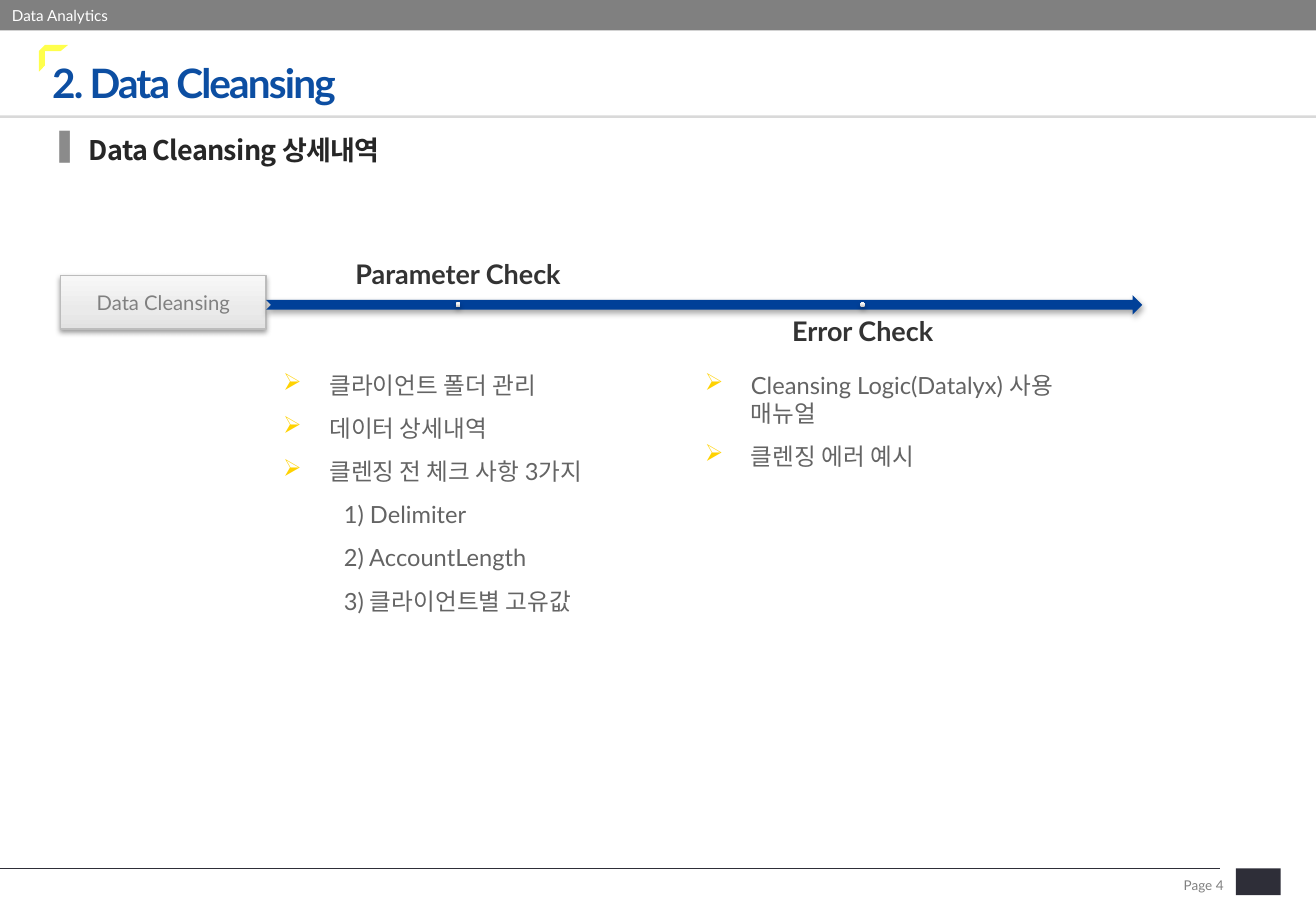
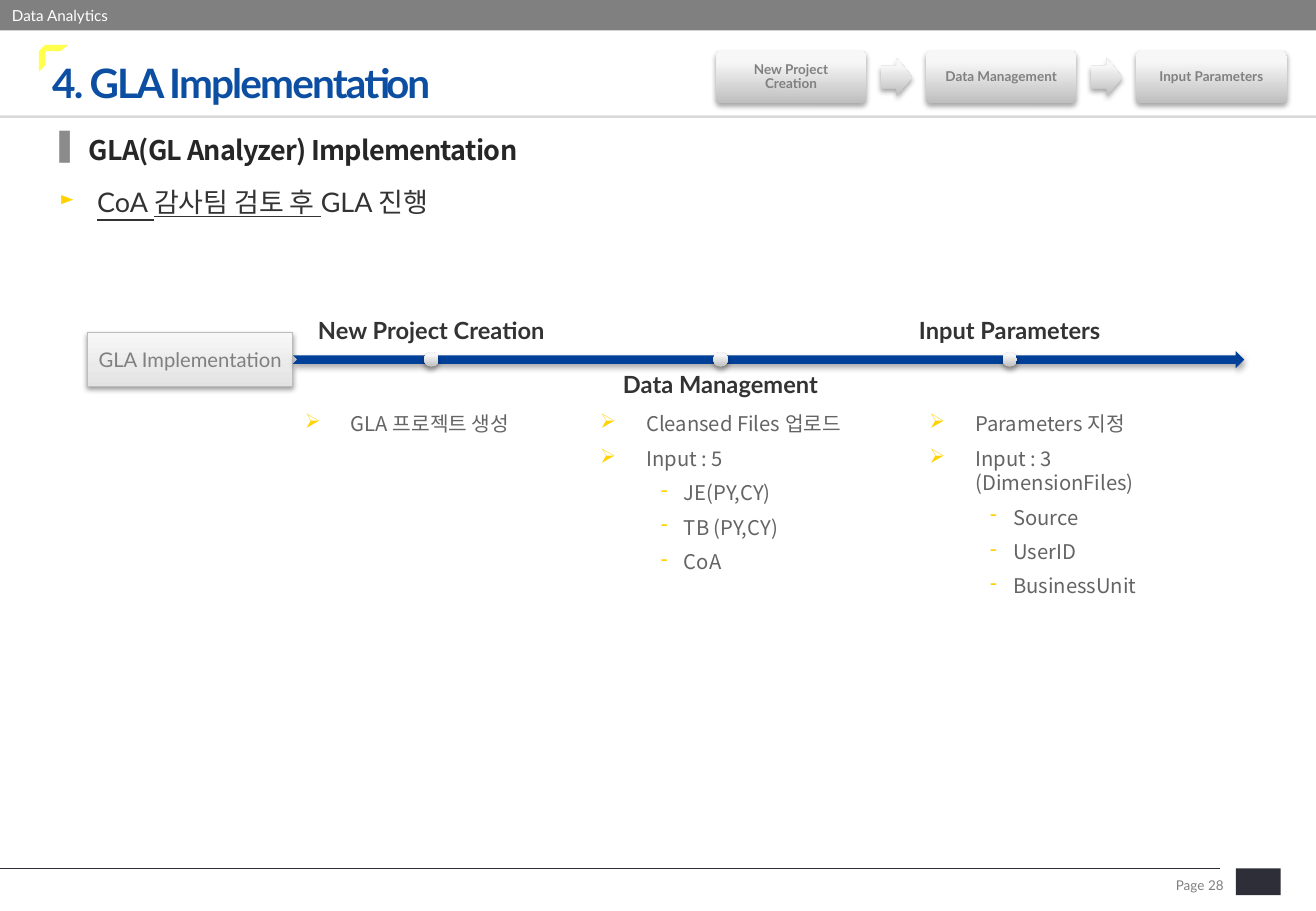
from lxml import etree
from pptx import Presentation
from pptx.dml.color import RGBColor
from pptx.enum.shapes import MSO_CONNECTOR, MSO_SHAPE
from pptx.enum.text import MSO_ANCHOR, MSO_AUTO_SIZE, PP_ALIGN
from pptx.oxml.ns import qn
from pptx.util import Inches, Pt

RECTANGLE = MSO_SHAPE.RECTANGLE
ROUNDED = MSO_SHAPE.ROUNDED_RECTANGLE
ELLIPSE = MSO_SHAPE.OVAL
RIGHT_ARROW = MSO_SHAPE.RIGHT_ARROW
NOTCHED_ARROW = MSO_SHAPE.NOTCHED_RIGHT_ARROW
STRAIGHT = MSO_CONNECTOR.STRAIGHT
TOP, MIDDLE, BOTTOM = MSO_ANCHOR.TOP, MSO_ANCHOR.MIDDLE, MSO_ANCHOR.BOTTOM
LEFT, CENTER, RIGHT = PP_ALIGN.LEFT, PP_ALIGN.CENTER, PP_ALIGN.RIGHT
NO_AUTOFIT = MSO_AUTO_SIZE.NONE

LATO = "Lato"
NOTO = "Noto Sans CJK KR"
WIDTH, HEIGHT = 10.83, 7.5
COLORS = {
    "title": "0C4EA2",
    "axis": "004098",
    "band": "808080",
    "white": "FFFFFF",
    "rule": "D9D9D9",
    "dark": "2E2E38",
    "corner": "FFFF00",
    "heading": "262626",
    "heading_bar": "8B8B8B",
    "label": "333333",
    "body": "646464",
    "bullet": "FFD200",
    "box_line": "BCBCBC",
}
BOX_GRADIENT = [(0, "E2E2E2"), (35, "EAEAEA"), (100, "F7F7F7")]
CHIP_GRADIENT = [(0, "BEBEBE"), (80, "F7F7F7"), (100, "F8F8F8")]
BULLETS = {
    "arrow": ("➢", "bullet", 100, 0.38, 0.38),
    "dash": ("-", "bullet", 100, 0.69, 0.19),
    "triangle": ("►", "bullet", 70, 0.31, 0.31),
    "bar": ("▌", "heading_bar", 100, 0.24, 0.24),
    "plain": (None, None, None, 0.5, 0),
}


def color(name):
    return RGBColor.from_string(COLORS[name])


def add_child(parent, tag, **attributes):
    child = etree.SubElement(parent, qn(tag))
    for name, value in attributes.items():
        child.set(name, str(value))
    return child


def add_text(paragraph, text, size, tone, font=LATO, bold=False, underline=False, spacing=0):
    run = paragraph.add_run()
    run.text = text
    run.font.size = Pt(size)
    run.font.bold = bold
    run.font.underline = underline
    run.font.color.rgb = color(tone)
    run.font.name = font
    properties = run._r.get_or_add_rPr()
    add_child(properties, "a:ea", typeface=NOTO)
    if spacing:
        properties.set("spc", str(round(spacing * 100)))


def set_bullet(paragraph, kind):
    character, tone, percent, margin, hanging = BULLETS[kind]
    properties = paragraph._p.get_or_add_pPr()
    properties.set("marL", str(Inches(margin)))
    properties.set("indent", str(-Inches(hanging)))
    if character:
        add_child(add_child(properties, "a:buClr"), "a:srgbClr", val=COLORS[tone])
        add_child(properties, "a:buSzPct", val=percent * 1000)
        add_child(properties, "a:buChar", char=character)


def prepare_frame(shape, anchor=TOP, insets=(0, 0)):
    frame = shape.text_frame
    frame.word_wrap = True
    frame.auto_size = NO_AUTOFIT
    frame.vertical_anchor = anchor
    frame.margin_left = frame.margin_right = Inches(insets[0])
    frame.margin_top = frame.margin_bottom = Inches(insets[1])
    return frame


def add_text_box(slide, box, anchor=TOP, insets=(0, 0)):
    return prepare_frame(slide.shapes.add_textbox(*map(Inches, box)), anchor, insets)


def add_shadow(shape, opacity=35, distance=1.8):
    effects = shape._element.spPr.find(qn("a:effectLst"))
    shadow = add_child(effects, "a:outerShdw", blurRad=Pt(3.1), dist=Pt(distance),
                       dir=5400000, rotWithShape=0)
    tone = add_child(shadow, "a:srgbClr", val="000000")
    add_child(tone, "a:alpha", val=opacity * 1000)


def fill_gradient(shape, stops):
    shape.fill.gradient()
    shape.fill.gradient_angle = 90
    stop_list = shape._element.spPr.find(qn("a:gradFill")).find(qn("a:gsLst"))
    for stop in list(stop_list):
        stop_list.remove(stop)
    for position, tone in stops:
        stop = add_child(stop_list, "a:gs", pos=position * 1000)
        add_child(stop, "a:srgbClr", val=tone)


def add_shape(slide, kind, box, fill, adjustments=()):
    shape = slide.shapes.add_shape(kind, *map(Inches, box))
    shape.shadow.inherit = False
    shape.line.fill.background()
    for index, value in enumerate(adjustments):
        shape.adjustments[index] = value
    if isinstance(fill, str):
        shape.fill.solid()
        shape.fill.fore_color.rgb = color(fill)
    else:
        fill_gradient(shape, fill)
    return shape


def add_corner_mark(slide):
    points = [(37, 37), (56, 37), (50, 42), (37, 42), (37, 54), (32, 59), (32, 42)]
    builder = slide.shapes.build_freeform(*points[0], scale=Inches(0.01))
    builder.add_line_segments(points[1:], close=True)
    mark = builder.convert_to_shape()
    mark.shadow.inherit = False
    mark.line.fill.background()
    mark.fill.solid()
    mark.fill.fore_color.rgb = color("corner")
    tone = mark._element.spPr.find(qn("a:solidFill")).find(qn("a:srgbClr"))
    add_child(tone, "a:alpha", val=70000)


def add_footer(slide, page):
    line = slide.shapes.add_connector(STRAIGHT, 0, Inches(7.15), Inches(10.04), Inches(7.15))
    line.line.color.rgb = color("dark")
    line.line.width = Pt(0.75)
    add_child(line._element.spPr, "a:effectLst")
    add_shape(slide, RECTANGLE, (10.17, 7.15, 0.37, 0.22), "dark")
    frame = add_text_box(slide, (9.44, 7.19, 0.73, 0.2), MIDDLE, (0.1, 0.05))
    paragraph = frame.paragraphs[0]
    paragraph.alignment = RIGHT
    add_text(paragraph, f"Page {page}", 8, "band")


def add_list(slide, box, items, size, font=LATO, tone="body", insets=(0, 0), before=0,
             bold=False, spacing=0):
    frame = add_text_box(slide, box, insets=insets)
    for index, (kind, text) in enumerate(items):
        paragraph = frame.add_paragraph() if index else frame.paragraphs[0]
        set_bullet(paragraph, kind)
        paragraph.line_spacing = Pt(size * 1.2)
        paragraph.space_after = Pt(6)
        if index and before:
            paragraph.space_before = Pt(before)
        runs = [(text, False)] if isinstance(text, str) else text
        for content, underline in runs:
            add_text(paragraph, content, size, tone, font, bold, underline, spacing)


def start_slide(presentation, title, heading, page):
    slide = presentation.slides.add_slide(presentation.slide_layouts[5])
    band = add_shape(slide, RECTANGLE, (0, 0, WIDTH, 0.25), "band")
    paragraph = prepare_frame(band, MIDDLE, (0.1, 0)).paragraphs[0]
    paragraph.alignment = LEFT
    add_text(paragraph, "Data Analytics", 9, "white")
    add_corner_mark(slide)
    add_shape(slide, RECTANGLE, (0, 0.95, WIDTH, 0.02), "rule")
    add_footer(slide, page)

    placeholder = slide.shapes.title
    placeholder.left, placeholder.top = Inches(0.43), Inches(0.37)
    placeholder.width, placeholder.height = Inches(8.83), Inches(0.62)
    paragraph = prepare_frame(placeholder, MIDDLE).paragraphs[0]
    paragraph.alignment = LEFT
    add_text(paragraph, title, 24, "title", bold=True, spacing=-1.1)
    add_list(slide, (0.49, 1.1, 9.75, 0.29), [("bar", heading)], 16, NOTO, "heading",
             bold=True, spacing=-0.4)
    return slide


def add_timeline(slide, name, labels, left, box_top, axis, length, thickness,
                 first_center, step, dot, size):
    box_width, label_width, label_height = 1.69, 3, 0.3
    box = add_shape(slide, RECTANGLE, (left - box_width, box_top, box_width, 0.44), BOX_GRADIENT)
    box.line.color.rgb = RGBColor.from_string(COLORS["box_line"])
    box.line.width = Pt(0.75)
    add_shadow(box, 38, 1.6)
    paragraph = prepare_frame(box, MIDDLE, (0.05, 0.05)).paragraphs[0]
    paragraph.alignment = CENTER
    add_text(paragraph, name, 12, "band")

    arrow = add_shape(slide, NOTCHED_ARROW, (left, axis - thickness / 2, length, thickness), "axis")
    add_shadow(arrow)
    for index, label in enumerate(labels):
        center = first_center + index * step
        marker = add_shape(slide, ELLIPSE, (center - dot / 2, axis - dot / 2, dot, dot),
                           CHIP_GRADIENT)
        add_shadow(marker)
        above = index % 2 == 0
        top = axis - 0.12 - label_height if above else axis + 0.11
        frame = add_text_box(slide, (center - label_width / 2, top, label_width, label_height),
                             BOTTOM if above else TOP)
        paragraph = frame.paragraphs[0]
        paragraph.alignment = CENTER
        paragraph.line_spacing = 0.9
        add_text(paragraph, label, size, "label", bold=True)


def add_process(slide, steps):
    for index, lines in enumerate(steps):
        left = 5.89 + index * 1.73
        chip = add_shape(slide, ROUNDED, (left, 0.42, 1.24, 0.43), CHIP_GRADIENT, [0.1])
        add_shadow(chip)
        paragraph = prepare_frame(chip, MIDDLE, (0.03, 0.03)).paragraphs[0]
        paragraph.alignment = CENTER
        paragraph.line_spacing = 0.9
        for line_index, line in enumerate(lines):
            if line_index:
                paragraph.add_line_break()
            add_text(paragraph, line, 8, "band", bold=True)
        if index < len(steps) - 1:
            arrow = add_shape(slide, RIGHT_ARROW, (left + 1.36, 0.48, 0.26, 0.31),
                              CHIP_GRADIENT, [0.6, 0.5])
            add_shadow(arrow)


def build_cleansing(presentation):
    slide = start_slide(presentation, "2. Data Cleansing", "Data Cleansing 상세내역", 4)
    add_timeline(slide, "Data Cleansing", ["Parameter Check", "Error Check"], left=2.19,
                 box_top=2.27, axis=2.51, length=7.21, thickness=0.16,
                 first_center=3.77, step=3.33, dot=0.04, size=16)
    checks = [
        ("arrow", "클라이언트 폴더 관리"),
        ("arrow", "데이터 상세내역"),
        ("arrow", "클렌징 전 체크 사항 3가지"),
        ("plain", "1) Delimiter"),
        ("plain", "2) AccountLength"),
        ("plain", "3) 클라이언트별 고유값"),
    ]
    errors = [("arrow", "Cleansing Logic(Datalyx) 사용 매뉴얼"), ("arrow", "클렌징 에러 예시")]
    add_list(slide, (2.33, 3.05, 3.08, 2.44), checks, 14, before=2.8)
    add_list(slide, (5.8, 3.05, 3.08, 1.13), errors, 14, before=2.8)


def build_implementation(presentation):
    slide = start_slide(presentation, "4. GLA Implementation",
                        "GLA(GL Analyzer) Implementation", 28)
    add_process(slide, [["New Project", "Creation"], ["Data Management"], ["Input Parameters"]])
    summary = [("CoA 감사팀 검토 후 ", True), ("GLA 진행", False)]
    add_list(slide, (0.49, 1.53, 9.72, 0.27), [("triangle", summary)], 16, tone="label")
    add_timeline(slide, "GLA Implementation",
                 ["New Project Creation", "Data Management", "Input Parameters"], left=2.41,
                 box_top=2.74, axis=2.96, length=7.83, thickness=0.14,
                 first_center=3.55, step=2.38, dot=0.12, size=14)
    columns = [
        (2.41, 2.05, ["GLA 프로젝트 생성"], []),
        (4.84, 2.33, ["Cleansed Files 업로드", "Input : 5"], ["JE(PY,CY)", "TB (PY,CY)", "CoA"]),
        (7.55, 2.17, ["Parameters 지정", "Input : 3 (DimensionFiles)"],
         ["Source", "UserID", "BusinessUnit"]),
    ]
    for left, width, tasks, inputs in columns:
        items = [("arrow", task) for task in tasks] + [("dash", entry) for entry in inputs]
        add_list(slide, (left, 3.34, width, 1.76), items, 12, NOTO, insets=(0.1, 0.05))


def main():
    presentation = Presentation()
    presentation.slide_width = Inches(WIDTH)
    presentation.slide_height = Inches(HEIGHT)
    build_cleansing(presentation)
    build_implementation(presentation)
    presentation.save("out.pptx")


if __name__ == "__main__":
    main()
